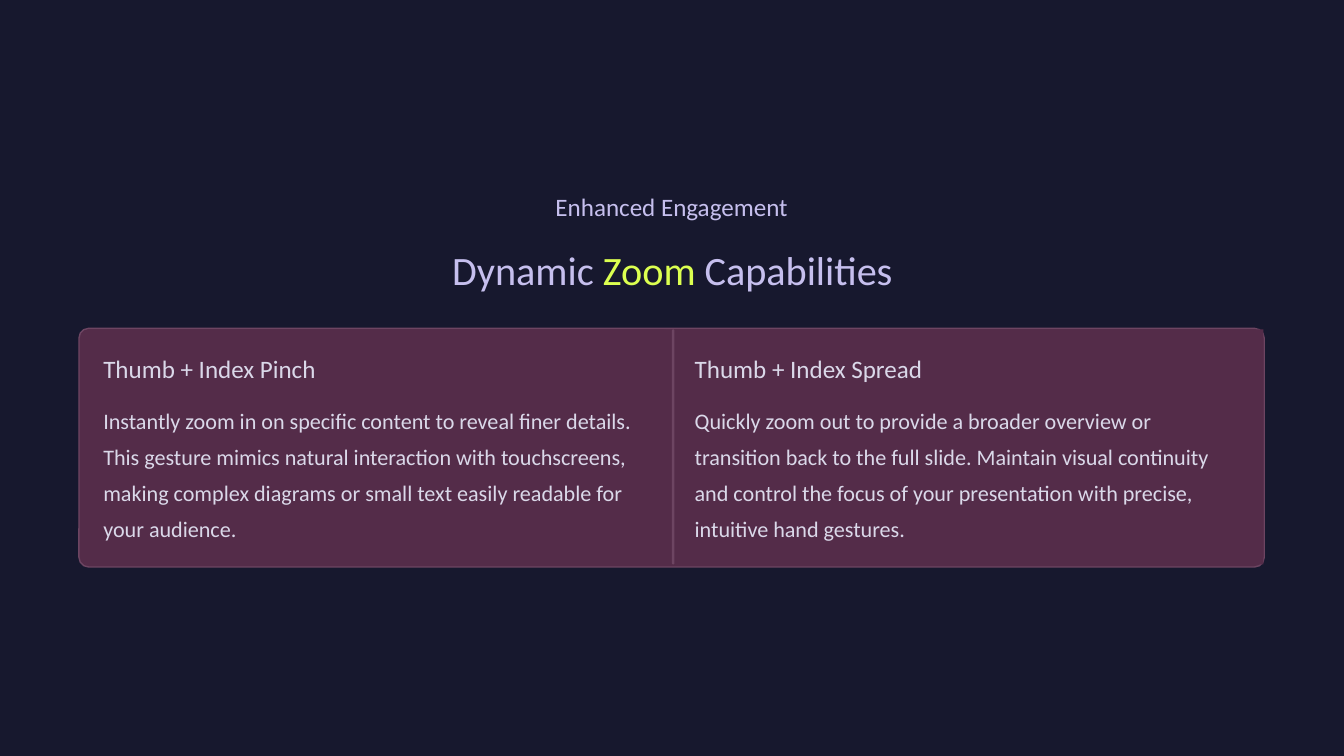
from dataclasses import dataclass

from pptx import Presentation
from pptx import util as u
from pptx.dml.color import RGBColor
from pptx.enum import shapes, text

COLORS = {
    "background": "17182E",
    "heading": "C6BFEE",
    "accent": "DCFF50",
    "panel": "542C49",
    "border": "6D4562",
    "body": "DAD8E9",
}
FONT = "Calibri"
PANEL_TOP, PANEL_WIDTH, PANEL_HEIGHT = 3.92, 7.04, 2.8
TEXT_INSET = 0.27
ROUND = shapes.MSO_SHAPE.ROUNDED_RECTANGLE
SQUARE = shapes.MSO_SHAPE.RECTANGLE


@dataclass
class Box:
    left: float
    top: float
    width: float
    height: float

    def lengths(self) -> list:
        return [u.Inches(n) for n in (self.left, self.top, self.width, self.height)]


@dataclass
class TextStyle:
    size: float
    line: float
    color: str
    align: text.PP_ALIGN = text.PP_ALIGN.LEFT
    wrap: bool = False


@dataclass
class Gesture:
    left: float
    outline: shapes.MSO_SHAPE
    heading: str
    heading_width: float
    body: str


KICKER = TextStyle(21.5, 27, "heading", text.PP_ALIGN.CENTER)
TITLE = TextStyle(34.5, 43, "heading", text.PP_ALIGN.CENTER)
PANEL_HEADING = TextStyle(21.5, 27, "body")
PANEL_BODY = TextStyle(19, 31, "body", wrap=True)

GESTURES = [
    Gesture(0.96, ROUND, "Thumb + Index Pinch", 3.07,
            "Instantly zoom in on specific content to reveal finer details. "
            "This gesture mimics natural interaction with touchscreens, making "
            "complex diagrams or small text easily readable for your audience."),
    Gesture(8, SQUARE, "Thumb + Index Spread", 3.31,
            "Quickly zoom out to provide a broader overview or transition back to "
            "the full slide. Maintain visual continuity and control the focus of "
            "your presentation with precise, intuitive hand gestures."),
]


def color(name: str) -> RGBColor:
    return RGBColor.from_string(COLORS[name])


def write(shape, runs: list[tuple[str, str]], style: TextStyle) -> None:
    """Fill a shape with one paragraph of (wording, color name) runs."""
    frame = shape.text_frame
    frame.margin_left = frame.margin_top = frame.margin_right = frame.margin_bottom = 0
    frame.word_wrap = style.wrap
    frame.auto_size = text.MSO_AUTO_SIZE.NONE
    frame.vertical_anchor = text.MSO_ANCHOR.TOP
    paragraph = frame.paragraphs[0]
    paragraph.alignment = style.align
    paragraph.line_spacing = u.Pt(style.line)
    paragraph.font.name = FONT
    paragraph.font.size = u.Pt(style.size)
    for wording, name in runs:
        run = paragraph.add_run()
        run.text = wording
        run.font.color.rgb = color(name)


def add_text(slide, box: Box, wording: str, style: TextStyle) -> None:
    write(slide.shapes.add_textbox(*box.lengths()), [(wording, style.color)], style)


def add_block(slide, outline: shapes.MSO_SHAPE, box: Box, fill: str,
              corner: float = 0.04, border: str | None = None) -> None:
    shape = slide.shapes.add_shape(outline, *box.lengths())
    shape.shadow.inherit = False
    shape.fill.solid()
    shape.fill.fore_color.rgb = color(fill)
    if outline == ROUND:
        shape.adjustments[0] = corner
    if border:
        shape.line.color.rgb = color(border)
        shape.line.width = u.Pt(1.2)
    else:
        shape.line.fill.background()


def add_gesture(slide, gesture: Gesture) -> None:
    panel = Box(gesture.left, PANEL_TOP, PANEL_WIDTH, PANEL_HEIGHT)
    add_block(slide, gesture.outline, panel, "panel")
    left = gesture.left + TEXT_INSET
    add_text(slide, Box(left, PANEL_TOP + 0.27, gesture.heading_width, 0.38),
             gesture.heading, PANEL_HEADING)
    add_text(slide, Box(left, PANEL_TOP + 0.81, 6.5, 1.73), gesture.body, PANEL_BODY)


def main() -> None:
    presentation = Presentation()
    presentation.slide_width = u.Inches(16)
    presentation.slide_height = u.Inches(9)
    slide = presentation.slides.add_slide(presentation.slide_layouts[5])
    slide.background.fill.solid()
    slide.background.fill.fore_color.rgb = color("background")

    # Kicker and title
    add_text(slide, Box(6.3, 2.26, 3.39, 0.38), "Enhanced Engagement", KICKER)
    title = slide.shapes.title
    title.left, title.top, title.width, title.height = Box(4.83, 2.9, 6.35, 0.6).lengths()
    write(title, [("Dynamic ", "heading"), ("Zoom", "accent"),
                  (" Capabilities", "heading")], TITLE)

    # Card with two gesture panels and a divider
    add_block(slide, ROUND, Box(0.94, 3.91, 14.11, 2.84), "panel", border="border")
    for gesture in GESTURES:
        add_gesture(slide, gesture)
    divider = Box(GESTURES[1].left, PANEL_TOP, 0.03, PANEL_HEIGHT)
    add_block(slide, ROUND, divider, "border", corner=0.5)

    presentation.save("out.pptx")


if __name__ == "__main__":
    main()
